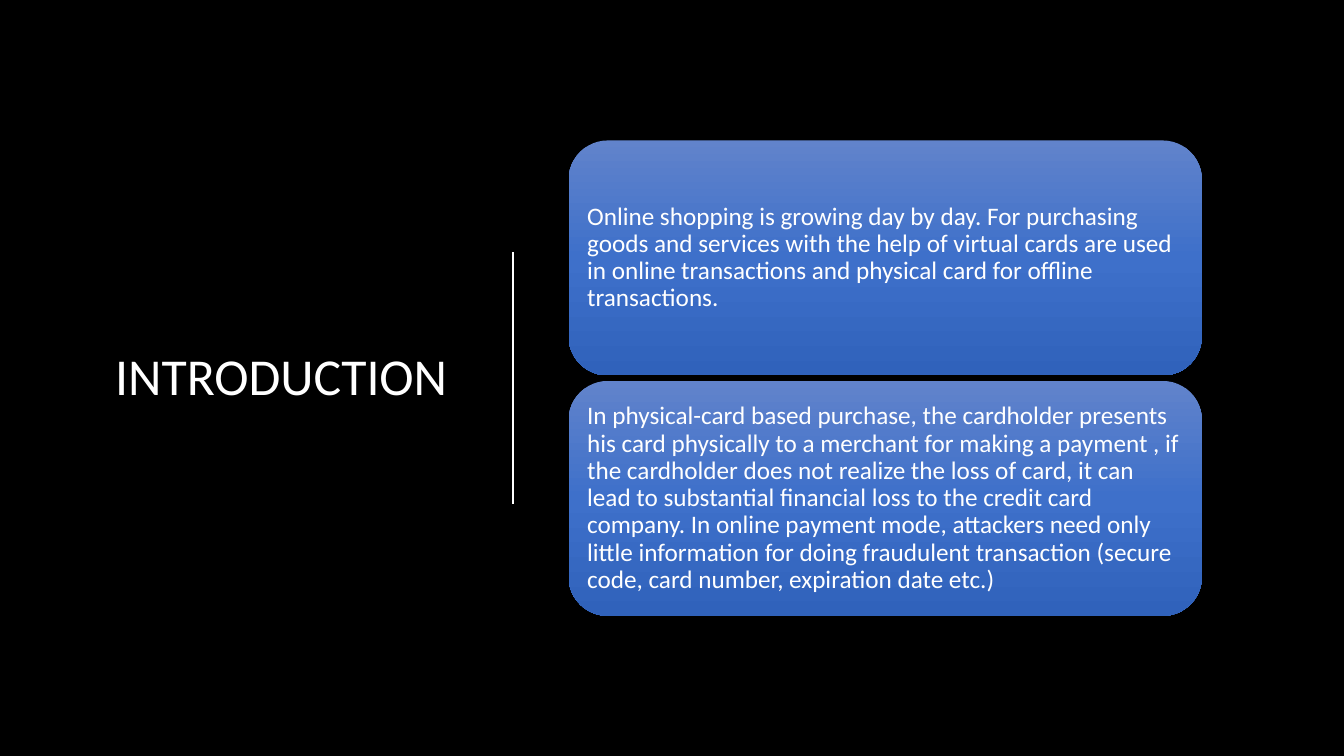
from lxml.etree import SubElement
from pptx import Presentation
from pptx.dml.color import RGBColor
from pptx.enum.shapes import MSO_CONNECTOR, MSO_SHAPE
from pptx.enum.text import MSO_ANCHOR, MSO_AUTO_SIZE, PP_ALIGN
from pptx.oxml.ns import qn
from pptx.util import Cm, Pt

HUES = {"back": "000000", "text": "FFFFFF",
        "top": "6183CB", "mid": "3E70CA", "low": "3062BB"}
CARDS = [
    "Online shopping is growing day by day. For purchasing goods and services "
    "with the help of virtual cards are used in online transactions and "
    "physical card for offline transactions.",
    "In physical-card based purchase, the cardholder presents his card "
    "physically to a merchant for making a payment , if the cardholder does "
    "not realize the loss of card, it can lead to substantial financial loss "
    "to the credit card company. In online payment mode, attackers need only "
    "little information for doing fraudulent transaction (secure code, card "
    "number, expiration date etc.)",
]


class Deck:
    """Holds the style and the current slide."""

    def __init__(self, font):
        self.font = font
        self.show = Presentation()
        self.show.slide_width, self.show.slide_height = Cm(33.87), Cm(19.05)
        self.slide = self.show.slides.add_slide(self.show.slide_layouts[5])
        fill = self.slide.background.fill
        fill.solid()
        fill.fore_color.rgb = self.hue("back")

    def hue(self, name):
        return RGBColor.from_string(HUES[name])

    def label(self, shape, text, size, align):
        frame = shape.text_frame
        frame.text = text
        frame.word_wrap = True
        frame.auto_size = MSO_AUTO_SIZE.NONE
        frame.vertical_anchor = MSO_ANCHOR.MIDDLE
        para = frame.paragraphs[0]
        para.alignment = align
        para.line_spacing = 0.9
        para.font.name = self.font
        para.font.size = Pt(size)
        para.font.color.rgb = self.hue("text")
        return frame

    def title(self, text, left, top, width, height):
        shape = self.slide.shapes.title
        shape.left, shape.top = Cm(left), Cm(top)
        shape.width, shape.height = Cm(width), Cm(height)
        self.label(shape, text, 37, PP_ALIGN.RIGHT)

    def rule(self, left, top, end):
        line = self.slide.shapes.add_connector(
            MSO_CONNECTOR.STRAIGHT, Cm(left), Cm(top), Cm(left), Cm(end))
        line.line.color.rgb = self.hue("text")
        line.line.width = Pt(1.25)
        SubElement(line.element.spPr, qn("a:effectLst"))

    def card(self, text, left, top, width, height):
        shape = self.slide.shapes.add_shape(
            MSO_SHAPE.ROUNDED_RECTANGLE,
            Cm(left), Cm(top), Cm(width), Cm(height))
        shape.shadow.inherit = False
        shape.line.fill.background()
        self.shade(shape)
        frame = self.label(shape, text, 18, PP_ALIGN.LEFT)
        frame.margin_left = frame.margin_right = Cm(0.18)
        frame.margin_top = frame.margin_bottom = Cm(0.18)

    def shade(self, shape):
        shape.fill.gradient()
        grad = shape.element.spPr.find(qn("a:gradFill"))
        stops = grad.find(qn("a:gsLst"))
        for stop in list(stops):
            stops.remove(stop)
        for place, name in enumerate(("top", "mid", "low")):
            stop = SubElement(stops, qn("a:gs"), pos=str(place * 50000))
            SubElement(stop, qn("a:srgbClr"), val=HUES[name])
        shape.fill.gradient_angle = 270


def main():
    deck = Deck("Calibri")
    deck.title("INTRODUCTION", 2.33, 2.98, 9.2, 13.12)
    deck.rule(12.93, 6.35, 12.7)
    for row, text in enumerate(CARDS):
        deck.card(text, 14.33, 3.54 + row * 6.06, 15.96, 5.92)
    deck.show.save("out.pptx")


if __name__ == "__main__":
    main()
